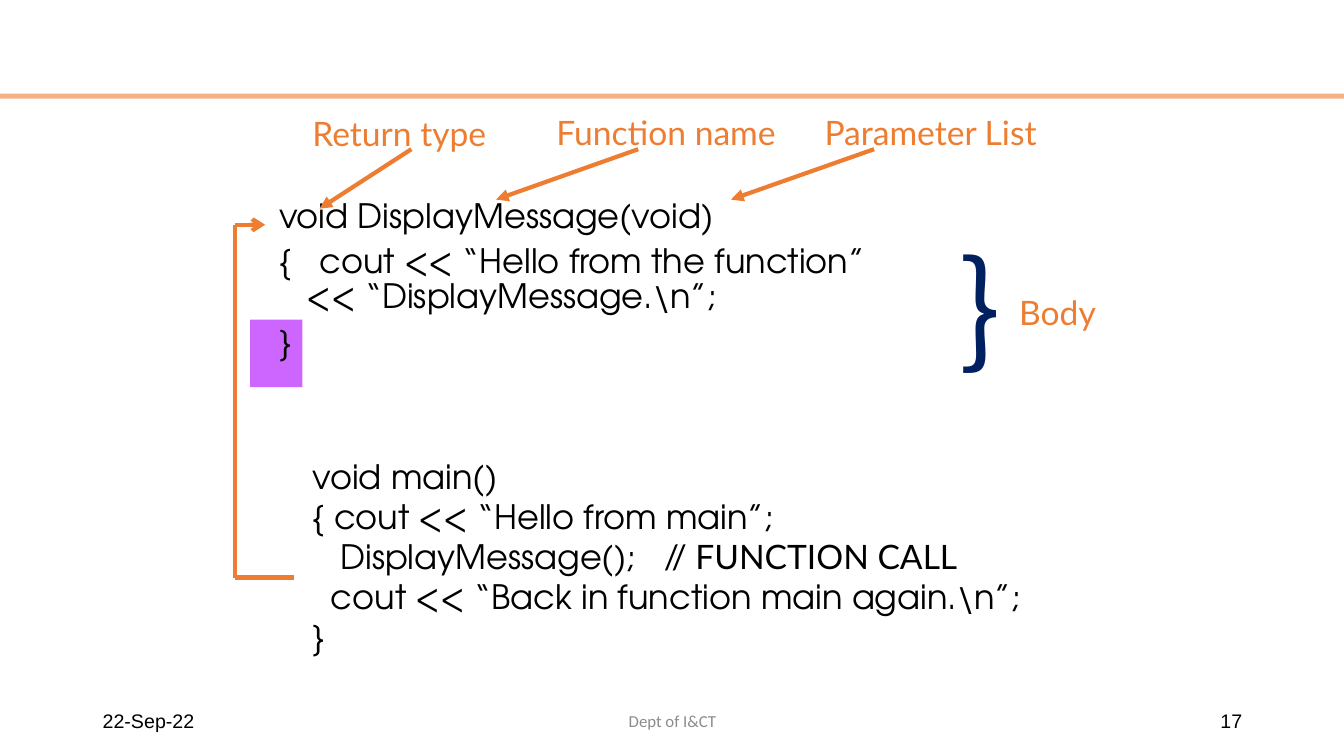
"""Build the slide that labels the parts of a C++ function and its call."""
import pptx
import pptx.dml.color
import pptx.enum.shapes
import pptx.enum.text
import pptx.oxml.xmlchemy
import pptx.util

COLORS = {"accent": "ED7D31", "rule": "F4B183", "highlight": "CC66FF",
          "code": "000000", "brace": "002060", "footer": "8C8C8C"}
CODE_FONT, LABEL_FONT = "TeX Gyre Adventor", "Lato"
ALIGN = pptx.enum.text.PP_ALIGN

BARS = [((0, 0.93, 13.33, 0.05), "rule"), ((2.48, 3.17, 0.52, 0.67), "highlight")]

FUNCTION_CODE = [
    ("void DisplayMessage(void)", 0.75),
    ("{   cout << “Hello from the function”\v   << “DisplayMessage.\\n”;", 0.85),
    ("}", 0.85),
]
MAIN_CODE = [(line, 0.7) for line in (
    "void main()",
    "{ cout << “Hello from main”;",
    "   DisplayMessage();   ",
    "  cout << “Back in function main again.\\n”;",
    "}",
)]
CALL_LINE, CALL_COMMENT = 2, "// FUNCTION CALL"

LABELS = [
    ("Return type", (3, 1.07, 2.58, 0.51)),
    ("Function name", (5.42, 1.06, 2.58, 0.51)),
    ("Parameter List", (8.08, 1.06, 2.75, 0.51)),
    ("Body", (10.01, 2.85, 1.08, 0.51)),
]
LABEL_ARROWS = [((4.08, 1.48), (3.17, 2.07)),
                ((6.33, 1.48), (4.92, 1.98)),
                ((8.67, 1.48), (7.25, 1.98))]
CALL_PATH = [(2.92, 5.73), (2.33, 5.73), (2.33, 2.23), (2.63, 2.23)]

FOOTERS = [
    ("22-Sep-22", 0.92, 3, ALIGN.LEFT, "Arial", 14, "code"),
    ("Dept of I&CT", 4.42, 4.5, ALIGN.CENTER, "Calibri", 12, "footer"),
    ("17", 9.42, 3, ALIGN.RIGHT, "Arial", 14, "code"),
]


def rgb(name):
    return pptx.dml.color.RGBColor.from_string(COLORS[name])


def inches(values):
    return [pptx.util.Inches(value) for value in values]


def format_run(run, font, size, color):
    run.font.name = font
    run.font.size = pptx.util.Pt(size)
    run.font.color.rgb = rgb(color)


def add_text(slide, box, lines, font, size, color):
    frame = slide.shapes.add_textbox(*inches(box)).text_frame
    frame.word_wrap = True
    for index, (text, spacing) in enumerate(lines):
        paragraph = frame.add_paragraph() if index else frame.paragraphs[0]
        paragraph.text = text
        paragraph.line_spacing = spacing
        if index:
            paragraph.space_before = pptx.util.Pt(8.4)
        for run in paragraph.runs:
            format_run(run, font, size, color)
    return frame


def add_line(slide, start, end, head=None):
    line = slide.shapes.add_connector(
        pptx.enum.shapes.MSO_CONNECTOR.STRAIGHT, *inches(start + end))
    line.line.color.rgb = rgb("accent")
    line.line.width = pptx.util.Pt(3)
    properties = line._element.spPr
    if head:
        tail_end = pptx.oxml.xmlchemy.OxmlElement("a:tailEnd")
        tail_end.set("type", head)
        properties.get_or_add_ln().append(tail_end)
    properties.append(pptx.oxml.xmlchemy.OxmlElement("a:effectLst"))


def main():
    deck = pptx.Presentation()
    deck.slide_width, deck.slide_height = inches((13.33, 7.5))
    slide = deck.slides.add_slide(deck.slide_layouts[6])

    for box, color in BARS:
        bar = slide.shapes.add_shape(
            pptx.enum.shapes.MSO_SHAPE.RECTANGLE, *inches(box))
        bar.shadow.inherit = False
        bar.fill.solid()
        bar.fill.fore_color.rgb = rgb(color)
        bar.line.fill.background()

    add_text(slide, (2.67, 1.98, 7.97, 1.72), FUNCTION_CODE, CODE_FONT, 24, "code")
    main_code = add_text(slide, (3, 4.58, 8.42, 2.08), MAIN_CODE, CODE_FONT, 24, "code")
    comment = main_code.paragraphs[CALL_LINE].add_run()
    comment.text = CALL_COMMENT
    format_run(comment, LABEL_FONT, 24, "code")

    last = len(CALL_PATH) - 2
    for index, (start, end) in enumerate(zip(CALL_PATH, CALL_PATH[1:])):
        add_line(slide, start, end, "arrow" if index == last else None)

    for text, box in LABELS:
        add_text(slide, box, [(text, 1.0)], LABEL_FONT, 24, "accent")
    for start, end in LABEL_ARROWS:
        add_line(slide, start, end, "triangle")
    add_text(slide, (9.42, 2.23, 0.92, 1.58), [("}", 1.0)], "Noto Sans CJK JP", 88, "brace")

    for text, left, width, align, font, size, color in FOOTERS:
        footer = add_text(slide, (left, 6.95, width, 0.4), [(text, 1.0)], font, size, color)
        footer.vertical_anchor = pptx.enum.text.MSO_ANCHOR.MIDDLE
        footer.paragraphs[0].alignment = align

    deck.save("out.pptx")


if __name__ == "__main__":
    main()
